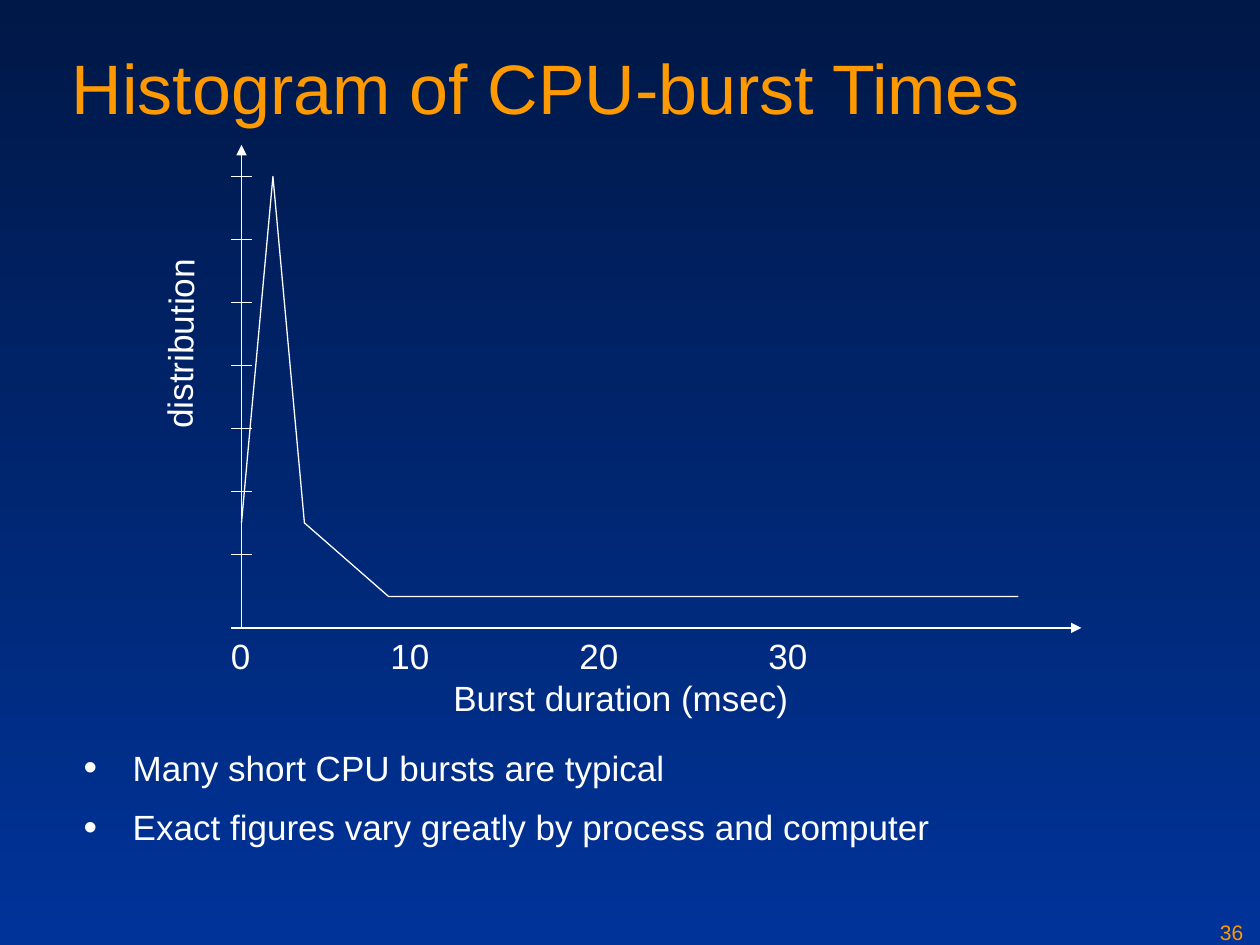
"""Build a slide with a line histogram of CPU-burst times and two remarks."""
import pptx
import pptx.dml.color
import pptx.enum.shapes
import pptx.enum.text
import pptx.oxml.xmlchemy
import pptx.util

WHITE = pptx.dml.color.RGBColor(0xFF, 0xFF, 0xFF)
ORANGE = pptx.dml.color.RGBColor(0xFE, 0x99, 0x00)
NIGHT = pptx.dml.color.RGBColor(0x00, 0x18, 0x47)
BLUE = pptx.dml.color.RGBColor(0x00, 0x33, 0x99)
CELL = pptx.util.Inches(1) // 12
AXIS_COLUMN, AXIS_ROW = 23, 59.8

presentation = pptx.Presentation()
presentation.slide_width = 120 * CELL
presentation.slide_height = 90 * CELL
slide = presentation.slides.add_slide(presentation.slide_layouts[1])
background = slide.background.fill
background.gradient()
background.gradient_angle = 270
for stop, color, position in zip(background.gradient_stops, (NIGHT, BLUE), (0, 1)):
    stop.color.rgb = color
    stop.position = position


def write(shape, text, box, size=20, color=WHITE):
    """Place a shape on the grid and fill it with formatted text."""
    shape.left, shape.top, shape.width, shape.height = (round(n * CELL) for n in box)
    frame = shape.text_frame
    frame.text = text
    frame.word_wrap = shape.is_placeholder
    frame.auto_size = pptx.enum.text.MSO_AUTO_SIZE.NONE
    frame.vertical_anchor = pptx.enum.text.MSO_ANCHOR.TOP
    for paragraph in frame.paragraphs:
        paragraph.alignment = pptx.enum.text.PP_ALIGN.LEFT
        for run in paragraph.runs:
            run.font.name = "Arial"
            run.font.size = pptx.util.Pt(size)
            run.font.color.rgb = color


def draw_line(start, end, arrow=False):
    """Draw a thin white line between two grid points."""
    points = [round(n * CELL) for n in start + end]
    connector = slide.shapes.add_connector(
        pptx.enum.shapes.MSO_CONNECTOR.STRAIGHT, *points)
    connector.line.color.rgb = WHITE
    connector.line.width = pptx.util.Pt(0.75)
    properties = connector._element.spPr
    if arrow:
        tail = pptx.oxml.xmlchemy.OxmlElement("a:tailEnd")
        tail.set("type", "triangle")
        properties.ln.append(tail)
    properties.append(pptx.oxml.xmlchemy.OxmlElement("a:effectLst"))


title = slide.shapes.title
write(title, "Histogram of CPU-burst Times", (6, 2.9, 108, 15), 40, ORANGE)
title.text_frame.margin_left = pptx.util.Inches(0.07)
title.text_frame.margin_top = pptx.util.Inches(0.11)

draw_line((AXIS_COLUMN - 1, AXIS_ROW), (103, AXIS_ROW), arrow=True)
draw_line((AXIS_COLUMN, AXIS_ROW), (AXIS_COLUMN, 13.8), arrow=True)
for tick in range(7):
    row = 16.8 + 6 * tick
    draw_line((AXIS_COLUMN - 1, row), (AXIS_COLUMN + 1, row))

curve = [(23, 49.8), (26, 16.8), (29, 49.8), (37, 56.8), (97, 56.8)]
curve = [(column * CELL, row * CELL) for column, row in curve]
builder = slide.shapes.build_freeform(*curve[0])
builder.add_line_segments(curve[1:], close=False)
distribution_curve = builder.convert_to_shape()
distribution_curve.shadow.inherit = False
distribution_curve.fill.background()
distribution_curve.line.color.rgb = WHITE
distribution_curve.line.width = pptx.util.Pt(0.75)

labels = [("0", (20.8, AXIS_ROW, 4.2, 5.3))]
labels += [(str(10 * step), (18 + 18 * step, AXIS_ROW, 6.1, 5.3)) for step in (1, 2, 3)]
labels += [("Burst duration (msec)", (42, 63.8, 34.3, 5.3)),
           ("distribution", (7.9, 30.1, 18.5, 5.3))]
for text, box in labels:
    label = slide.shapes.add_textbox(0, 0, 0, 0)
    write(label, text, box)
label.rotation = 270.5

body = slide.placeholders[1]
remarks = ["Many short CPU bursts are typical",
           "Exact figures vary greatly by process and computer"]
write(body, "\n".join(remarks), (7, 70, 109, 15))
body.text_frame.margin_left = pptx.util.Inches(0.08)
body.text_frame.margin_top = pptx.util.Inches(0.09)
for index, paragraph in enumerate(body.text_frame.paragraphs):
    paragraph.space_before = pptx.util.Pt(5 if index else 0)
    paragraph.space_after = pptx.util.Pt(5)
    properties = paragraph._p.get_or_add_pPr()
    properties.set("marL", str(pptx.util.Inches(0.39)))
    properties.set("indent", str(-pptx.util.Inches(0.39)))
    bullet_color = pptx.oxml.xmlchemy.OxmlElement("a:buClr")
    white = pptx.oxml.xmlchemy.OxmlElement("a:srgbClr")
    white.set("val", str(WHITE))
    bullet_color.append(white)
    bullet_size = pptx.oxml.xmlchemy.OxmlElement("a:buSzPct")
    bullet_size.set("val", "110000")
    bullet = pptx.oxml.xmlchemy.OxmlElement("a:buChar")
    bullet.set("char", "•")
    properties.extend([bullet_color, bullet_size, bullet])

page_number = slide.shapes.add_textbox(0, 0, 0, 0)
write(page_number, "36", (115, 87, 5, 3), 12, ORANGE)

presentation.save("out.pptx")
